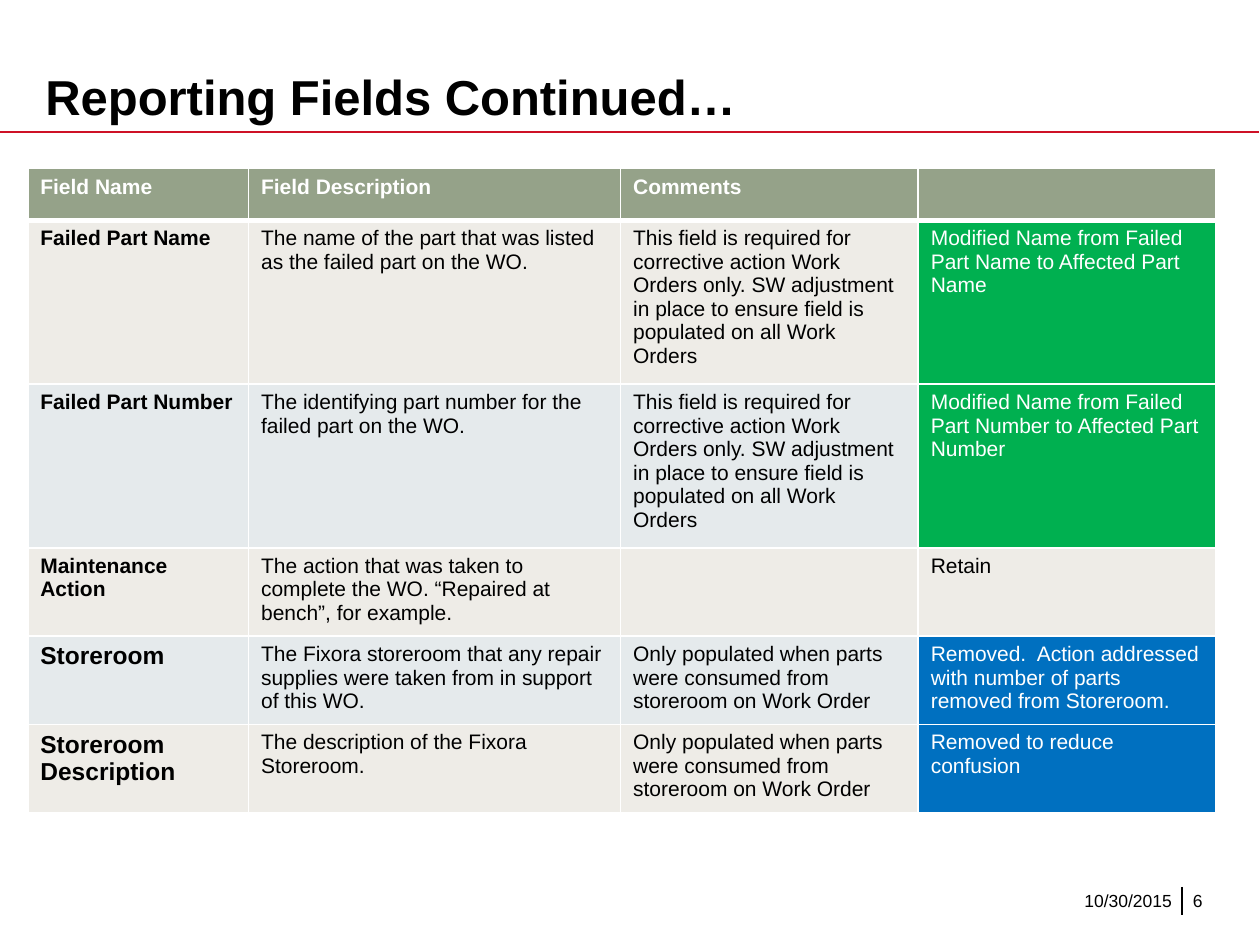
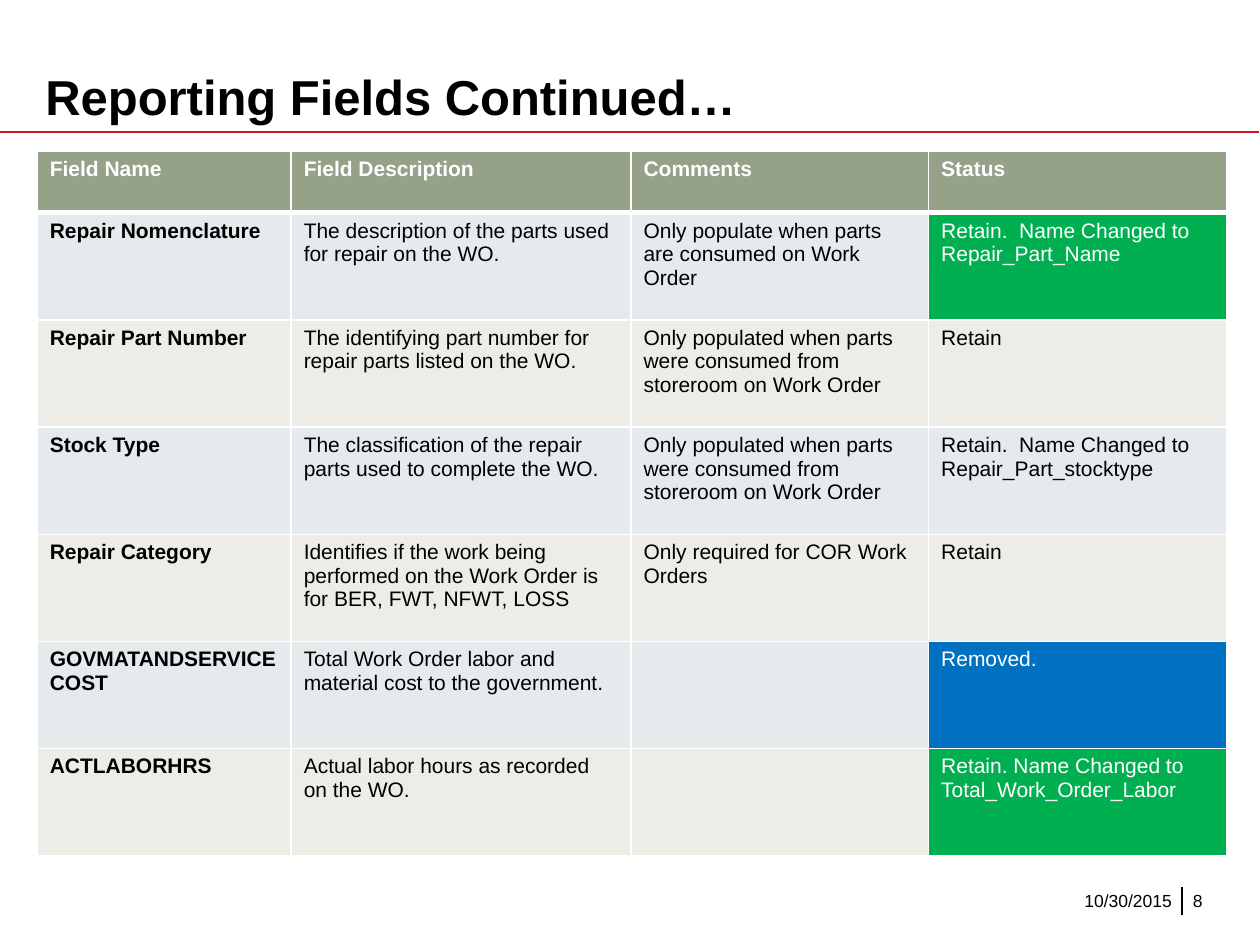
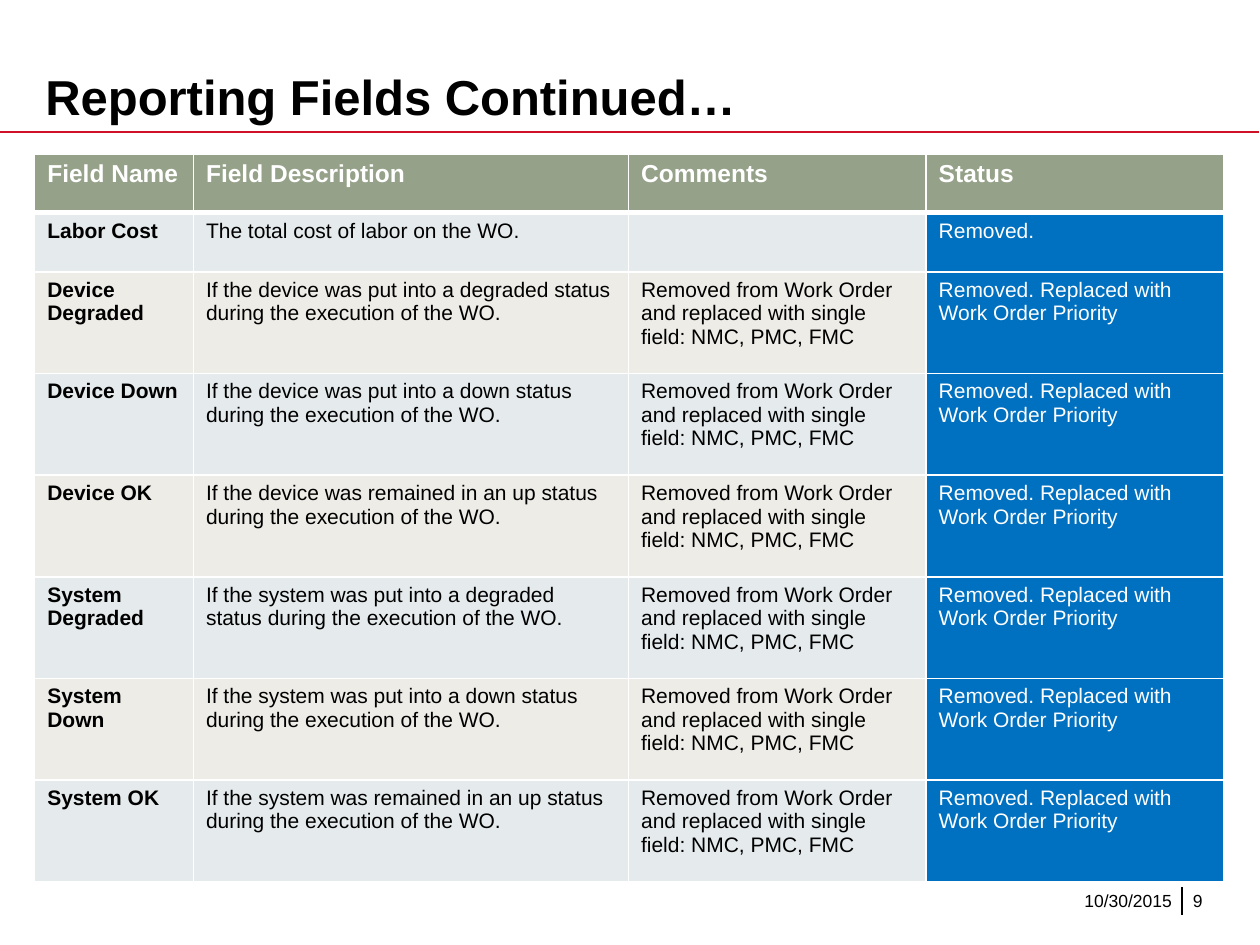
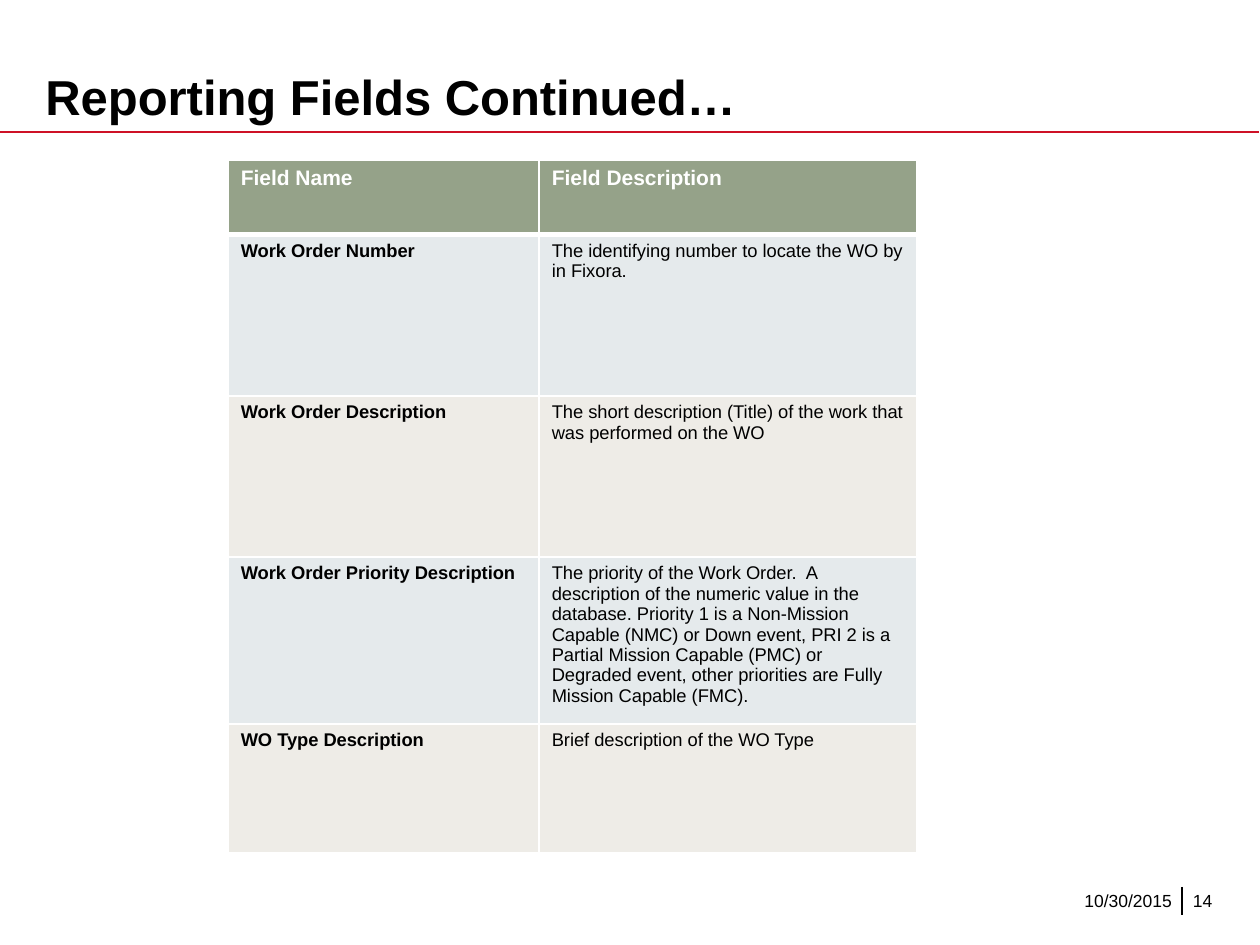
import lxml.etree
import pptx
import pptx.dml.color
import pptx.enum.shapes
import pptx.enum.text
import pptx.oxml.ns
import pptx.util

Cm, Pt = pptx.util.Cm, pptx.util.Pt
RGB = pptx.dml.color.RGBColor.from_string
ALIGN, ANCHOR = pptx.enum.text.PP_ALIGN, pptx.enum.text.MSO_ANCHOR
qn = pptx.oxml.ns.qn

# Theme: colours, type sizes and line widths
THEME = {
    "font": "Arial",
    "text": "000000", "white": "FFFFFF", "rule": "CE1126",
    "header": "95A289", "warm": "EEECE7", "cool": "E5EAEC",
    "renamed": "00B050", "removed": "0070C0",
    "title_size": 28, "footer_size": 10, "body_size": 12,
    "large_size": 14, "small_size": 10.5,
    "thin": 1, "thick": 3,
}
TITLE = "Reporting Fields Continued…"
DATE = "10/30/2015"

# Wording that recurs in the tables
REQUIRED = ("This field is required for corrective action Work Orders only. SW adjustment "
            "in place to ensure field is populated on all Work Orders")
CONSUMED = "Only populated when parts were consumed from storeroom on Work Order"
MERGED = "Removed from Work Order and replaced with single field: NMC, PMC, FMC"
PRIORITY = ("Removed. Replaced with Work Order Priority", "removed")
HEADINGS = ["Field Name", "Field Description", "Comments", "Status"]

# Device and system states share one sentence pattern
state_rows = [
    [name, f"If the {unit} was {state} status during the execution of the WO.", MERGED, PRIORITY]
    for name, unit, state in [
        ("Device Degraded", "device", "put into a degraded"),
        ("Device Down", "device", "put into a down"),
        ("Device OK", "device", "remained in an up"),
        ("System Degraded", "system", "put into a degraded"),
        ("System\nDown", "system", "put into a down"),
        ("System OK", "system", "remained in an up"),
    ]
]

# Slides: a cell is a text, or a text with the status that colours it
SLIDES = [
    {
        "number": 6, "left": 0.56, "top": 3.4, "bands": ("warm", "cool"),
        "cols": [4.45, 7.5, 6, 6], "heights": [1.04] * 6,
        "header_size": "body_size", "body_size": "body_size",
        "large_names": ("Storeroom", "Storeroom Description"),
        "rows": [
            HEADINGS[:3] + [""],
            ["Failed Part Name",
             "The name of the part that was listed as the failed part on the WO.", REQUIRED,
             ("Modified Name from Failed Part Name to Affected Part Name", "renamed")],
            ["Failed Part Number",
             "The identifying part number for the failed part on the WO.", REQUIRED,
             ("Modified Name from Failed Part Number to Affected Part Number", "renamed")],
            ["Maintenance Action",
             "The action that was taken to complete the WO. “Repaired at bench”, for example.",
             "", "Retain"],
            ["Storeroom",
             "The Fixora storeroom that any repair supplies were taken from in support of this WO.",
             CONSUMED,
             ("Removed.  Action addressed with number of parts removed from Storeroom.", "removed")],
            ["Storeroom Description", "The description of the Fixora Storeroom.", CONSUMED,
             ("Removed to reduce confusion", "removed")],
        ],
    },
    {
        "number": 8, "left": 0.75, "top": 3.05, "bands": ("cool", "warm"),
        "cols": [5.12, 6.85, 6, 6], "heights": [1.24] + [2.16] * 6,
        "header_size": "body_size", "body_size": "body_size", "large_names": (),
        "rows": [
            HEADINGS,
            ["Repair Nomenclature", "The description of the parts used for repair on the WO.",
             "Only populate when parts are consumed on Work Order",
             ("Retain.  Name Changed to Repair_Part_Name", "renamed")],
            ["Repair Part Number",
             "The identifying part number for repair parts listed on the WO.", CONSUMED, "Retain"],
            ["Stock Type", "The classification of the repair parts used to complete the WO.",
             CONSUMED, "Retain.  Name Changed to Repair_Part_stocktype"],
            ["Repair Category",
             "Identifies if the work being performed on the Work Order is for BER, FWT, NFWT, LOSS",
             "Only required for COR Work Orders", "Retain"],
            ["GOVMATANDSERVICECOST", "Total Work Order labor and material cost to the government.",
             "", ("Removed.", "removed")],
            ["ACTLABORHRS", "Actual labor hours as recorded on the WO.", "",
             ("Retain. Name Changed to Total_Work_Order_Labor", "renamed")],
        ],
    },
    {
        "number": 9, "left": 0.7, "top": 3.1, "bands": ("cool", "warm"),
        "cols": [3.2, 8.77, 6, 6], "heights": [1.19] * 2 + [2.05] * 6,
        "header_size": "large_size", "body_size": "body_size", "large_names": (),
        "rows": [
            HEADINGS,
            ["Labor Cost", "The total cost of labor on the WO.", "", ("Removed.", "removed")],
            *state_rows,
        ],
    },
    {
        "number": 14, "left": 4.6, "top": 3.23, "bands": ("cool", "warm"),
        "cols": [6.27, 7.62], "heights": [1.5, 3.25, 3.25, 2.6, 2.6],
        "header_size": "body_size", "body_size": "small_size", "large_names": (),
        "rows": [
            HEADINGS[:2],
            ["Work Order Number", "The identifying number to locate the WO by in Fixora."],
            ["Work Order Description",
             "The short description (Title) of the work that was performed on the WO"],
            ["Work Order Priority Description",
             "The priority of the Work Order.  A description of the numeric value in the database. "
             "Priority 1 is a Non-Mission Capable (NMC) or Down event, PRI 2 is a Partial Mission "
             "Capable (PMC) or Degraded event, other priorities are Fully Mission Capable (FMC)."],
            ["WO Type Description", "Brief description of the WO Type"],
        ],
    },
]


def write(tf, text, size, color="text", bold=False, align=ALIGN.LEFT):
    """Fill a text frame and format all of its runs."""
    tf.text = text
    font = {"name": THEME["font"], "size": Pt(THEME[size]), "bold": bold}
    for p in tf.paragraphs:
        p.alignment = align
        for r in p.runs:
            for key, value in font.items():
                setattr(r.font, key, value)
            r.font.color.rgb = RGB(THEME[color])


def add_border(cell, side, width):
    """Add a solid white border; call before the cell is filled."""
    ln = lxml.etree.SubElement(cell._tc.get_or_add_tcPr(), qn(f"a:ln{side}"), w=str(Pt(width)))
    fill = lxml.etree.SubElement(ln, qn("a:solidFill"))
    lxml.etree.SubElement(fill, qn("a:srgbClr"), val=THEME["white"])


prs = pptx.Presentation()
prs.slide_width, prs.slide_height = Cm(25.4), Cm(19.05)

for spec_ in SLIDES:
    s = prs.slides.add_slide(prs.slide_layouts[5])

    # Title
    sp = s.shapes.title
    box = {"left": Cm(0.66), "top": Cm(0.76), "width": Cm(16.56), "height": Cm(1.9)}
    for key, value in box.items():
        setattr(sp, key, value)
    write(sp.text_frame, TITLE, "title_size", bold=True)
    sp.text_frame.vertical_anchor = ANCHOR.BOTTOM
    sp.text_frame.auto_size = pptx.enum.text.MSO_AUTO_SIZE.NONE

    # Title rule and footer divider
    for x1, y1, x2, y2, color in [(0, 2.66, 25.38, 2.66, "rule"),
                                  (23.83, 17.88, 23.83, 18.44, "text")]:
        line = s.shapes.add_connector(pptx.enum.shapes.MSO_CONNECTOR.STRAIGHT,
                                      Cm(x1), Cm(y1), Cm(x2), Cm(y2))
        line.line.color.rgb = RGB(THEME[color])
        line.line.width = Pt(THEME["thin"])
        lxml.etree.SubElement(line._element.spPr, qn("a:effectLst"))

    # Footer: date and slide number
    for text, left, width, inset, align in [
        (DATE, 17.7, 5.92, 0.25, ALIGN.RIGHT),
        (str(spec_["number"]), 24.05, 1.17, 0, ALIGN.LEFT),
    ]:
        tf = s.shapes.add_textbox(Cm(left), Cm(17.65), Cm(width), Cm(1.02)).text_frame
        frame = {"word_wrap": True, "vertical_anchor": ANCHOR.MIDDLE,
                 "margin_left": Cm(inset), "margin_right": 0}
        for key, value in frame.items():
            setattr(tf, key, value)
        write(tf, text, "footer_size", align=align)

    # Field table
    rows, cols, heights = spec_["rows"], spec_["cols"], spec_["heights"]
    table = s.shapes.add_table(len(rows), len(cols), Cm(spec_["left"]), Cm(spec_["top"]),
                               Cm(sum(cols)), Cm(sum(heights))).table
    table.horz_banding = False
    for column, width in zip(table.columns, cols):
        column.width = Cm(width)
    for i, (row, height) in enumerate(zip(rows, heights)):
        table.rows[i].height = Cm(height)
        band = spec_["bands"][(i - 1) % 2] if i else "header"
        for j, content in enumerate(row):
            text, status = content if isinstance(content, tuple) else (content, None)
            cell = table.cell(i, j)
            for side in "LRTB":
                under_header = (i, side) in [(0, "B"), (1, "T")]
                add_border(cell, side, THEME["thick" if under_header else "thin"])
            cell.fill.solid()
            cell.fill.fore_color.rgb = RGB(THEME[status or band])
            size = spec_["body_size"] if i else spec_["header_size"]
            if text in spec_["large_names"]:
                size = "large_size"
            color = "white" if status or i == 0 else "text"
            write(cell.text_frame, text, size, color, bold=i == 0 or j == 0)

prs.save("out.pptx")
